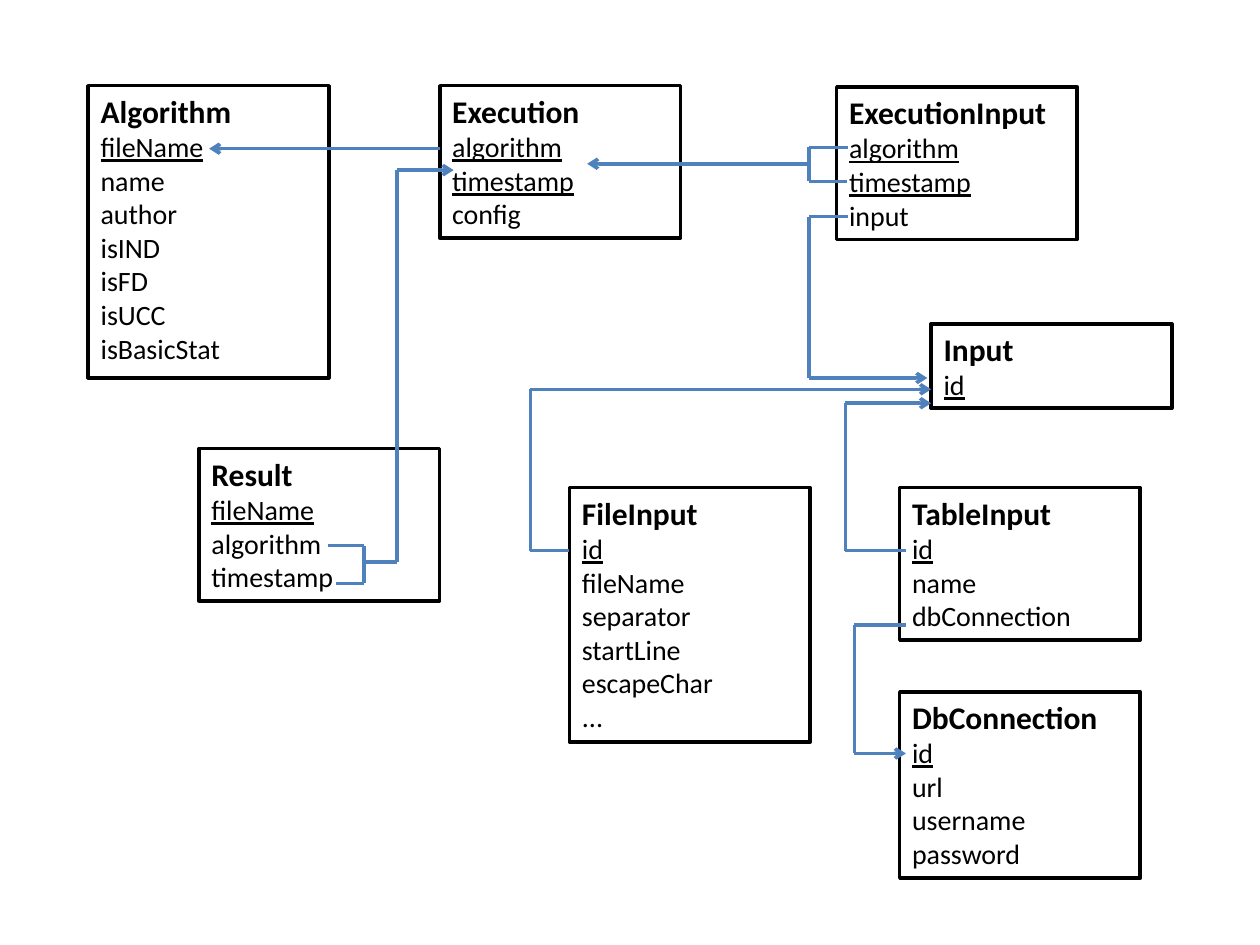
from itertools import pairwise

from lxml.etree import SubElement
from pptx import Presentation
from pptx.dml.color import RGBColor
from pptx.enum.shapes import MSO_CONNECTOR as CONN, MSO_SHAPE as SHAPE
from pptx.enum.text import MSO_ANCHOR as ANCHOR, PP_ALIGN as ALIGN
from pptx.oxml.ns import qn
from pptx.util import Inches, Pt

BLACK = RGBColor(0x00, 0x00, 0x00)
WHITE = RGBColor(0xFF, 0xFF, 0xFF)
BLUE = RGBColor(0x4F, 0x81, 0xBD)
FONT = "Calibri"
BOX_WIDTH = 1.91
LINE_WIDTH = Pt(2)

# Entities: name, left, top, height, key fields, other fields
ENTITIES = [
    ("Algorithm", 0.7, 0.68, 2.32, ["fileName"],
     ["name", "author", "isIND", "isFD", "isUCC", "isBasicStat"]),
    ("Execution", 3.49, 0.68, 1.21, ["algorithm", "timestamp"], ["config"]),
    ("ExecutionInput", 6.64, 0.69, 1.21, ["algorithm", "timestamp"], ["input"]),
    ("Input", 7.39, 2.57, 0.67, ["id"], []),
    ("DbConnection", 7.14, 5.49, 1.48, ["id"], ["url", "username", "password"]),
    ("TableInput", 7.14, 3.87, 1.21, ["id"], ["name", "dbConnection"]),
    ("FileInput", 4.52, 3.87, 2.02, ["id"],
     ["fileName", "separator", "startLine", "escapeChar", "..."]),
    ("Result", 1.58, 3.56, 1.21, ["fileName"], ["algorithm", "timestamp"]),
]

# References: corner points from the referring field to the arrowhead
REFERENCES = [
    [(3.49, 1.18), (1.66, 1.18)],                              # Execution > Algorithm
    [(4.52, 4.37), (4.21, 4.37), (4.21, 3.09), (7.39, 3.09)],  # FileInput > Input
    [(7.19, 4.37), (6.71, 4.37), (6.71, 3.2), (7.39, 3.2)],    # TableInput > Input
    [(6.73, 1.72), (6.42, 1.72), (6.42, 3), (7.36, 3)],        # ExecutionInput > Input
    [(7.19, 4.96), (6.78, 4.96), (6.78, 5.98), (7.19, 5.98)],  # TableInput > DbConnection
    [(6.42, 1.3), (4.66, 1.3)],                                # ExecutionInput > Execution
    [(2.89, 4.46), (3.15, 4.46), (3.15, 1.35), (3.6, 1.35)],   # Result > Execution
]

# Brackets joining the two fields of a compound key
BRACKETS = [
    [(6.73, 1.17), (6.42, 1.17), (6.42, 1.44), (6.72, 1.44)],
    [(2.6, 4.33), (2.89, 4.33), (2.89, 4.63), (2.67, 4.63)],
]


def add_line(shapes, p, text, size, bold=False, underline=False):
    p.alignment = ALIGN.LEFT
    r = p.add_run()
    r.text = text
    r.font.name = FONT
    r.font.size = Pt(size)
    r.font.bold = bold
    r.font.underline = underline
    r.font.color.rgb = BLACK


def add_entity(shapes, name, left, top, height, keys, fields):
    sp = shapes.add_shape(SHAPE.RECTANGLE, Inches(left), Inches(top),
                          Inches(BOX_WIDTH), Inches(height))
    sp.shadow.inherit = False
    sp.fill.solid()
    sp.fill.fore_color.rgb = WHITE
    sp.line.color.rgb = BLACK
    sp.line.width = LINE_WIDTH
    tf = sp.text_frame
    tf.word_wrap = True
    tf.vertical_anchor = ANCHOR.TOP
    add_line(shapes, tf.paragraphs[0], name, 18, bold=True)
    for field in keys:
        add_line(shapes, tf.add_paragraph(), field, 16, underline=True)
    for field in fields:
        add_line(shapes, tf.add_paragraph(), field, 16)


def add_route(shapes, points, arrow):
    for start, end in pairwise(points):
        ends = [Inches(v) for v in start + end]
        line = shapes.add_connector(CONN.STRAIGHT, *ends)
        line.line.color.rgb = BLUE
        line.line.width = LINE_WIDTH
        props = line.element.spPr
        if arrow and end == points[-1]:
            SubElement(props.find(qn("a:ln")), qn("a:tailEnd"), type="arrow")
        SubElement(props, qn("a:effectLst"))


prs = Presentation()
prs.slide_width, prs.slide_height = Inches(10), Inches(7.5)
shapes = prs.slides.add_slide(prs.slide_layouts[6]).shapes

for entity in ENTITIES:
    add_entity(shapes, *entity)
for points in REFERENCES:
    add_route(shapes, points, arrow=True)
for points in BRACKETS:
    add_route(shapes, points, arrow=False)

prs.save("out.pptx")
